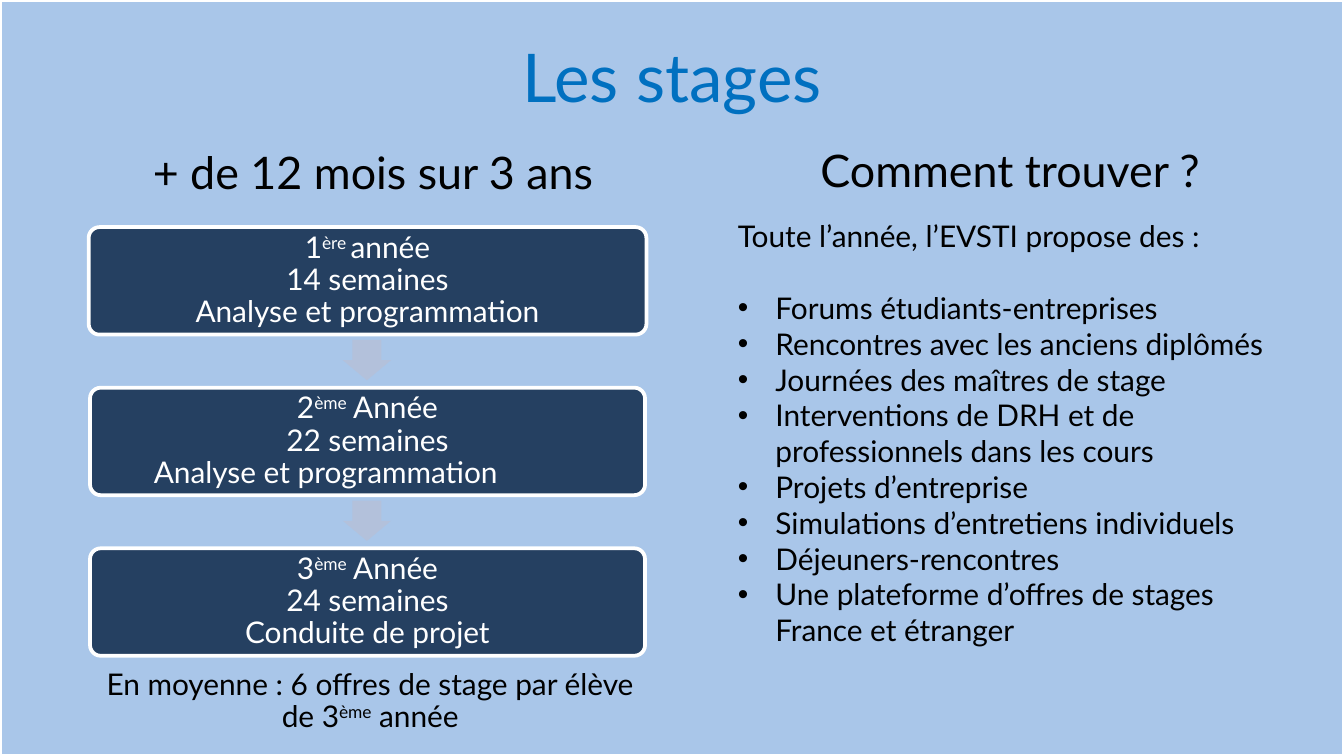
from dataclasses import dataclass

import lxml.etree
import pptx
import pptx.dml.color
import pptx.enum.shapes
import pptx.enum.text
import pptx.oxml.ns
import pptx.util

Inches = pptx.util.Inches
Pt = pptx.util.Pt
Shape = pptx.enum.shapes.MSO_SHAPE
Align = pptx.enum.text.PP_ALIGN
Anchor = pptx.enum.text.MSO_ANCHOR
qn = pptx.oxml.ns.qn


@dataclass(frozen=True)
class Theme:
    font: str = "Lato"
    bullet_font: str = "Arial"
    title_size: int = 36
    heading_size: int = 24
    body_size: int = 16
    title: str = "0070C0"
    ink: str = "000000"
    white: str = "FFFFFF"
    background: str = "558ED5"
    panel: str = "254061"
    arrow: str = "B3C1DB"


@dataclass(frozen=True)
class Area:
    left: float
    top: float
    width: float
    height: float


@dataclass(frozen=True)
class Year:
    number: str
    ordinal: str
    label: str
    weeks: str
    subject: str
    widening: float = 0
    right_indent: float = 0


THEME = Theme()
PAGE_WIDTH = 10
PAGE_HEIGHT = PAGE_WIDTH * 9 / 16
YEARS = [
    Year("1", "ère ", "année", "14 semaines", "Analyse et programmation", widening=0.01),
    Year("2", "ème", " Année", "22 semaines", "Analyse et programmation", right_indent=0.62),
    Year("3", "ème", " Année", "24 semaines", "Conduite de projet"),
]
STEP = Area(0.67, 1.69, 4.13, 0.8)
STEP_PITCH = (4.08 - STEP.top) / 2
ARROW = Area(2.58, 2.5, 0.3, 0.36)
BULLET_INDENT = 0.28
BULLETS = [
    "Forums étudiants-entreprises",
    "Rencontres avec les anciens diplômés",
    "Journées des maîtres de stage",
    "Interventions de DRH et de professionnels dans les cours",
    "Projets d’entreprise",
    "Simulations d’entretiens individuels",
    "Déjeuners-rencontres",
    "Une plateforme d’offres de stages France et étranger",
]


def color(value: str) -> pptx.dml.color.RGBColor:
    return pptx.dml.color.RGBColor.from_string(value)


def bounds(area: Area) -> list[int]:
    return [Inches(n) for n in (area.left, area.top, area.width, area.height)]


def add_shape(slide, kind, area: Area, fill: str, outlined: bool = True):
    shape = slide.shapes.add_shape(kind, *bounds(area))
    shape.shadow.inherit = False
    shape.fill.solid()
    shape.fill.fore_color.rgb = color(fill)
    if outlined:
        shape.line.color.rgb = color(THEME.white)
        shape.line.width = Pt(2)
    else:
        shape.line.fill.background()
    return shape


def set_insets(frame, side: float, top: float, bottom: float) -> None:
    frame.word_wrap = True
    frame.margin_left = frame.margin_right = Inches(side)
    frame.margin_top, frame.margin_bottom = Inches(top), Inches(bottom)


def add_frame(slide, area: Area, side: float = 0.07, top: float = 0.04, bottom: float = 0.04):
    frame = slide.shapes.add_textbox(*bounds(area)).text_frame
    set_insets(frame, side, top, bottom)
    return frame


def write(para, parts: list[str], size: int, ink: str, align=Align.CENTER, spacing: float = 0.9):
    """Parts at odd positions are superscript."""
    para.alignment = align
    para.line_spacing = spacing
    para.font.name = THEME.font
    para.font.size = Pt(size)
    para.font.color.rgb = color(ink)
    for index, part in enumerate(parts):
        span = para.add_run()
        span.text = part
        if index % 2:
            span.font._element.set("baseline", "30000")
    return para


def add_caption(slide, area: Area, parts: list[str], size: int) -> None:
    para = add_frame(slide, area).paragraphs[0]
    write(para, parts, size, THEME.ink).space_before = Pt(10)


def add_background(slide) -> None:
    panel = add_shape(slide, Shape.RECTANGLE, Area(0, 0, PAGE_WIDTH, PAGE_HEIGHT), THEME.background)
    tint = panel.fill._xPr.find(qn("a:solidFill"))[0]
    lxml.etree.SubElement(tint, qn("a:alpha")).set("val", "50000")


def add_year(slide, year: Year, offset: float) -> None:
    left, width = STEP.left - year.widening, STEP.width + 2 * year.widening
    area = Area(left, STEP.top + offset, width, STEP.height)
    box = add_shape(slide, Shape.ROUNDED_RECTANGLE, area, THEME.panel)
    box.adjustments[0] = 0.1
    frame = box.text_frame
    set_insets(frame, 0.07, 0.07, 0.07)
    frame.vertical_anchor = Anchor.MIDDLE
    lines = [[year.number, year.ordinal, year.label], [year.weeks], [year.subject]]
    for index, parts in enumerate(lines):
        para = frame.add_paragraph() if index else frame.paragraphs[0]
        write(para, parts, THEME.body_size, THEME.white)
    if year.right_indent:
        para._p.get_or_add_pPr().set("marR", str(Inches(year.right_indent)))


def add_arrow(slide, offset: float) -> None:
    area = Area(ARROW.left, ARROW.top + offset, ARROW.width, ARROW.height)
    arrow = add_shape(slide, Shape.RIGHT_ARROW, area, THEME.arrow, outlined=False)
    arrow.rotation = 90
    arrow.adjustments[0] = 0.6
    arrow.adjustments[1] = 0.5


def add_bullet(para) -> None:
    properties = para._p.get_or_add_pPr()
    properties.set("marL", str(Inches(BULLET_INDENT)))
    properties.set("indent", str(-Inches(BULLET_INDENT)))
    defaults = properties.find(qn("a:defRPr"))
    for tag, key, value in (("a:buFont", "typeface", THEME.bullet_font), ("a:buChar", "char", "•")):
        element = lxml.etree.Element(qn(tag))
        element.set(key, value)
        defaults.addprevious(element)


def add_advice(slide) -> None:
    frame = add_frame(slide, Area(5.42, 0.93, 4.23, 4), bottom=0.11)
    frame.vertical_anchor = Anchor.BOTTOM
    style = (THEME.body_size, THEME.ink, Align.LEFT, 1.0)
    intro = write(frame.paragraphs[0], ["Toute l’année, l’EVSTI propose des :"], *style)
    intro.space_after = Pt(19.2)
    for text in BULLETS:
        add_bullet(write(frame.add_paragraph(), [text], *style))


def main() -> None:
    deck = pptx.Presentation()
    deck.slide_width, deck.slide_height = Inches(PAGE_WIDTH), Inches(PAGE_HEIGHT)
    slide = deck.slides.add_slide(deck.slide_layouts[6])
    add_background(slide)
    add_advice(slide)
    for index, year in enumerate(YEARS):
        if index:
            add_arrow(slide, (index - 1) * STEP_PITCH)
        add_year(slide, year, index * STEP_PITCH)
    add_caption(slide, Area(0.88, 1.08, 3.79, 0.49), ["+ de 12 mois sur 3 ans"], THEME.heading_size)
    add_caption(slide, Area(5.86, 1.07, 3.31, 0.49), ["Comment trouver ?"], THEME.heading_size)
    title = add_frame(slide, Area(0, 0.21, PAGE_WIDTH, 0.71), 0.1, 0.05, 0.05)
    write(title.paragraphs[0], ["Les stages"], THEME.title_size, THEME.title, spacing=1.0)
    closing = ["En moyenne : 6 offres de stage par élève de 3", "ème", " année"]
    add_caption(slide, Area(0.67, 4.94, 4.17, 0.49), closing, THEME.body_size)
    deck.save("out.pptx")


if __name__ == "__main__":
    main()
